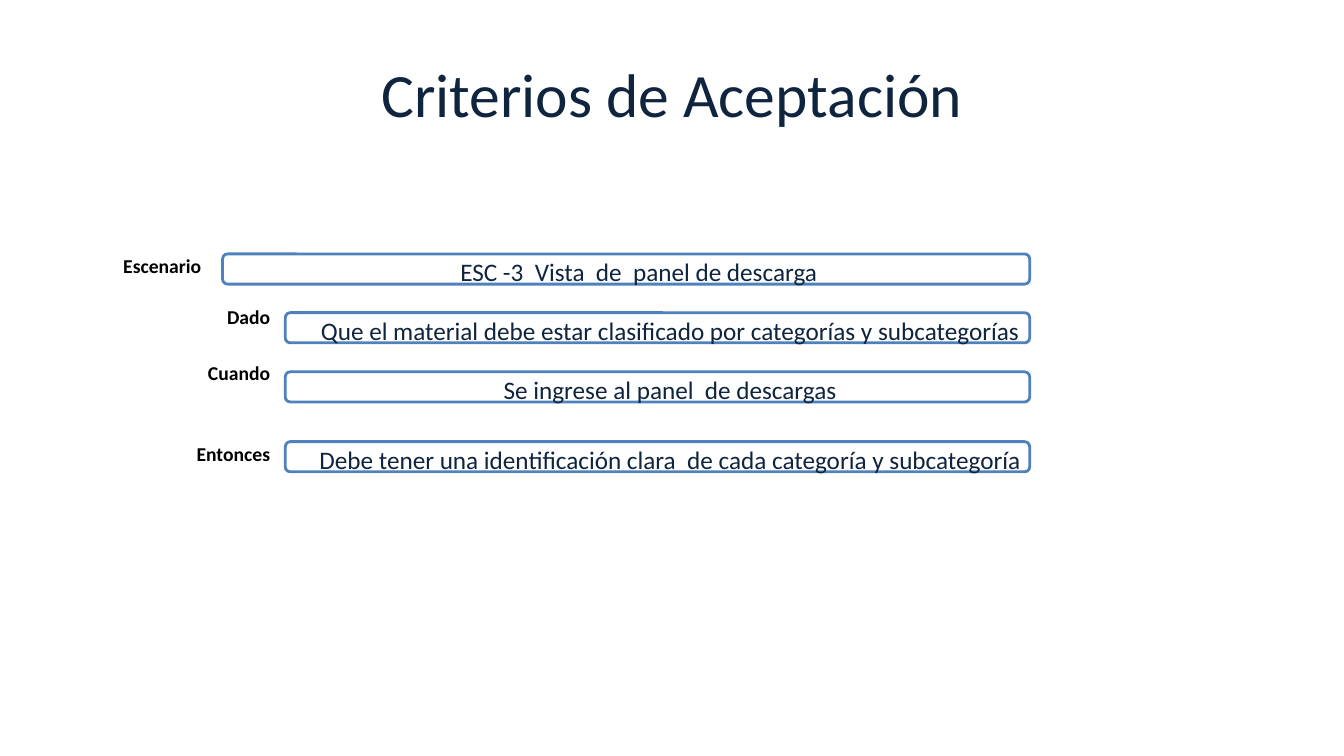
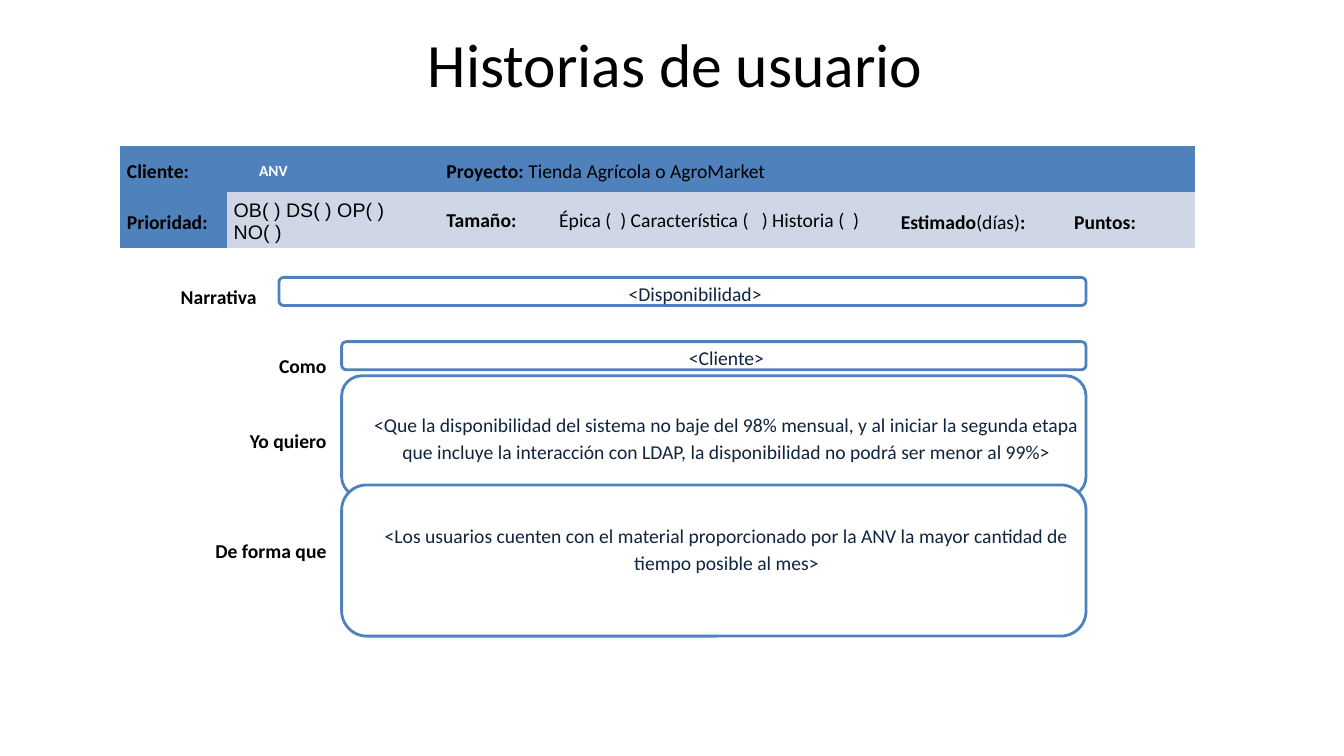
from pptx import Presentation
from pptx.dml.color import RGBColor
from pptx.enum.shapes import MSO_SHAPE as Preset
from pptx.enum.text import MSO_ANCHOR as Anchor, MSO_AUTO_SIZE as AutoSize, PP_ALIGN as Align
from pptx.oxml.ns import qn
from pptx.util import Cm, Pt

COLORS = {
    "navy": "0F243E",
    "black": "000000",
    "white": "FFFFFF",
    "blue": "4F81BD",
    "pale": "CFD7E7",
}
FONT = "Calibri"
PLAIN_TABLE_STYLE = "{2D5ABB26-0587-4C30-8999-92F81FD0307C}"
LINE_SPACING = 1.15
TEXT_INDENT = 0.64
CELL_MARGIN = 0.18

LABEL_COLUMNS = [3, 1.4, 19.56]
FIRST_BOX_OFFSET = 3.02
BOX_OFFSET = 4.6
BOX_RIGHT_OFFSET = 23.36


def color(name):
    return RGBColor.from_string(COLORS[name])


def style_font(font, size, color_name, bold=False, name=FONT):
    font.name = name
    font.size = Pt(size)
    font.bold = bold
    font.color.rgb = color(color_name)


def add_title_slide(presentation, title, left, top, color_name):
    slide = presentation.slides.add_slide(presentation.slide_layouts[5])
    shape = slide.shapes.title
    shape.left, shape.top, shape.width, shape.height = Cm(left), Cm(top), Cm(30.48), Cm(3.18)
    frame = shape.text_frame
    frame.text = title
    frame.auto_size = AutoSize.NONE
    frame.vertical_anchor = Anchor.MIDDLE
    paragraph = frame.paragraphs[0]
    paragraph.alignment = Align.CENTER
    style_font(paragraph.font, 44, color_name)
    return slide


def add_plain_table(slide, left, top, widths, heights):
    """Add a table without banding, borders or fills."""
    table = slide.shapes.add_table(
        len(heights), len(widths), Cm(left), Cm(top), Cm(sum(widths)), Cm(sum(heights))
    ).table
    table.first_row = table.horz_banding = False
    table._tbl.tblPr.find(qn("a:tableStyleId")).text = PLAIN_TABLE_STYLE
    for column, width in zip(table.columns, widths):
        column.width = Cm(width)
    for row, height in zip(table.rows, heights):
        row.height = Cm(height)
    for cell in table.iter_cells():
        cell.fill.background()
        cell.vertical_anchor = Anchor.MIDDLE
        cell.margin_left = cell.margin_right = Cm(CELL_MARGIN)
        cell.margin_top, cell.margin_bottom = Cm(0.05), 0
    return table


def write_cell(cell, parts, size=14, color_name="black", name=FONT,
               align=Align.LEFT, spacing=LINE_SPACING):
    """Write (text, bold) parts as runs of one paragraph."""
    paragraph = cell.text_frame.paragraphs[0]
    paragraph.alignment = align
    paragraph.line_spacing = spacing
    style_font(paragraph.font, size, color_name, name=name)
    for text, bold in parts:
        run = paragraph.add_run()
        run.text = text
        style_font(run.font, size, color_name, bold, name)


def add_box(slide, left, top, width, height, text, size, bottom_inset=0):
    shape = slide.shapes.add_shape(
        Preset.ROUNDED_RECTANGLE, Cm(left), Cm(top), Cm(width), Cm(height)
    )
    shape.shadow.inherit = False
    shape.fill.solid()
    shape.fill.fore_color.rgb = color("white")
    shape.line.color.rgb = color("blue")
    shape.line.width = Pt(2)
    frame = shape.text_frame
    frame.word_wrap = True
    frame.vertical_anchor = Anchor.MIDDLE
    frame.margin_left, frame.margin_bottom = Cm(TEXT_INDENT), Cm(bottom_inset)
    frame.margin_top = frame.margin_right = 0
    frame.text = text
    paragraph = frame.paragraphs[0]
    paragraph.alignment = Align.CENTER
    paragraph.line_spacing = LINE_SPACING
    style_font(paragraph.font, size, "navy")


def add_labelled_boxes(slide, left, top, heights, size, entries):
    """Add a label column and, beside it, one box per (label, box top, box height, text, inset)."""
    table = add_plain_table(slide, left, top, LABEL_COLUMNS, heights)
    for index, (label, box_top, box_height, text, bottom_inset) in enumerate(entries):
        first = index == 0
        start = 1 if first else 0
        table.cell(index, start).merge(table.cell(index, start + 1))
        write_cell(table.cell(index, 0), [(label, True)],
                   align=Align.CENTER if first else Align.RIGHT)
        offset = FIRST_BOX_OFFSET if first else BOX_OFFSET
        add_box(slide, left + offset, box_top, BOX_RIGHT_OFFSET - offset, box_height,
                text, size, bottom_inset)


def add_story_header(slide):
    table = add_plain_table(
        slide, 3.02, 3.68, [2.69, 5.36, 2.84, 8.61, 4.37, 2.06, 1.17], [1.17, 1.4]
    )
    for row in range(2):
        for column in range(7):
            fill = table.cell(row, column).fill
            fill.solid()
            fill.fore_color.rgb = color("blue" if row == 0 or column == 0 else "pale")
    table.cell(0, 2).merge(table.cell(0, 6))
    table.cell(1, 5).margin_right = 0

    write_cell(table.cell(0, 0), [("Cliente:", True)])
    client = table.cell(0, 1)
    client.margin_left = Cm(CELL_MARGIN + TEXT_INDENT)
    write_cell(client, [("ANV", True)], size=11, color_name="white")
    write_cell(table.cell(0, 2), [("Proyecto: ", True), ("Tienda Agrícola o AgroMarket", False)])
    write_cell(table.cell(1, 0), [("Prioridad:", True)])
    write_cell(table.cell(1, 1), [("OB( ) DS( ) OP( ) NO( )", False)], name="Arial", spacing=1.0)
    write_cell(table.cell(1, 2), [("Tamaño:", True)], spacing=1.0)
    write_cell(table.cell(1, 3), [("Épica (  ) Característica (   ) Historia (  )", False)],
               spacing=1.0)
    write_cell(table.cell(1, 4), [("Estimado", True), ("(días)", False), (":", True)])
    write_cell(table.cell(1, 5), [("Puntos:", True)])


def add_criteria_slide(presentation):
    slide = add_title_slide(presentation, "Criterios de Aceptación", 1.7, 0.76, "navy")
    add_labelled_boxes(slide, 2.59, 6.07, [1.17, 1.4, 1.4, 2.69], 18, [
        ("Escenario", 6.4, 0.76, "ESC -3  Vista  de  panel de descarga", 0),
        ("Dado", 7.88, 0.76,
         "Que el material debe estar clasificado por categorías y subcategorías", 0),
        ("Cuando", 9.37, 0.76, "Se ingrese al panel  de descargas", 0),
        ("Entonces", 11.13, 0.76,
         "Debe tener una identificación clara  de cada categoría y subcategoría", 0),
    ])


def add_story_slide(presentation):
    slide = add_title_slide(presentation, "Historias de usuario", 1.78, 0, "black")
    add_labelled_boxes(slide, 4.01, 6.65, [1.57, 1.9, 1.9, 3.63], 14, [
        ("Narrativa", 6.99, 0.71, "<Disponibilidad>", 0),
        ("Como", 8.61, 0.71, "<Cliente>", 0),
        ("Yo quiero", 9.47, 3.05,
         "<Que la disponibilidad del sistema no baje del 98% mensual, y al iniciar la segunda "
         "etapa que incluye la interacción con LDAP, la disponibilidad no podrá ser menor al 99%>",
         0),
        ("De forma que", 12.22, 3.81,
         "<Los usuarios cuenten con el material proporcionado por la ANV la mayor cantidad de "
         "tiempo posible al mes>", 0.68),
    ])
    add_story_header(slide)


def main():
    presentation = Presentation()
    presentation.slide_width, presentation.slide_height = Cm(33.87), Cm(19.05)
    add_criteria_slide(presentation)
    add_story_slide(presentation)
    presentation.save("out.pptx")


if __name__ == "__main__":
    main()
